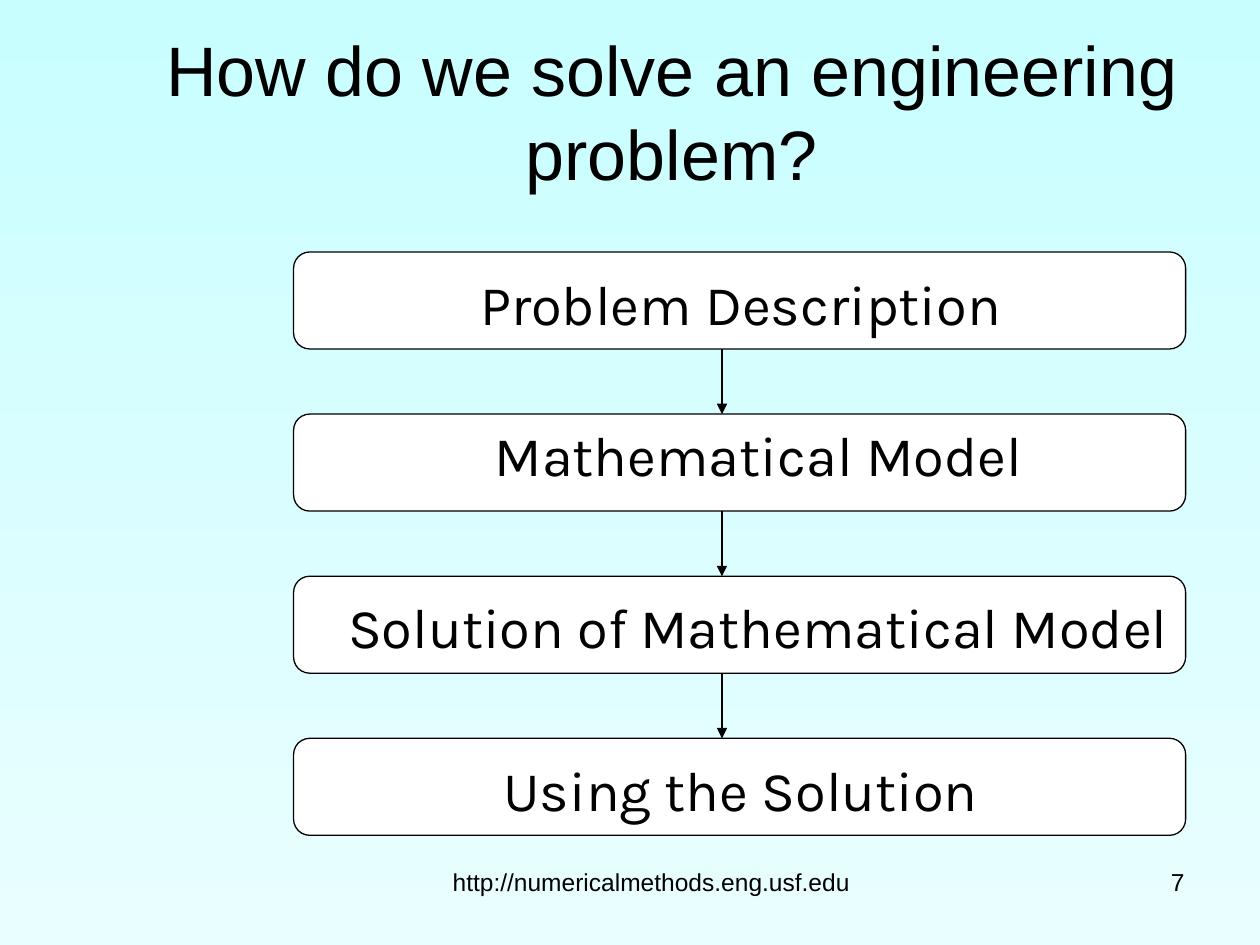
from lxml import etree
from pptx import Presentation
from pptx import util as u
from pptx.dml.color import RGBColor
from pptx.enum import shapes, text
from pptx.oxml import ns

COLORS = {"top": "C9FEFF", "bottom": "E9FEFF", "box": "FFFFFF", "ink": "000000"}
STEPS = [
    ("Problem Description", 0.09, 6.52, 0.64),
    ("Mathematical Model", 0, 6.8, 0.64),
    ("Solution of Mathematical Model", 0.08, 6.8, 1.17),
    ("Using the Solution", 0.09, 6.52, 0.64),
]


def color(name):
    """Return the named colour."""
    return RGBColor.from_string(COLORS[name])


def write(sp, content, size, font, align):
    """Put one formatted paragraph into a shape."""
    tf = sp.text_frame
    tf.word_wrap = True
    tf.auto_size = text.MSO_AUTO_SIZE.NONE
    tf.text = content
    p = tf.paragraphs[0]
    p.alignment = align
    r = p.runs[0]
    r.font.size = u.Pt(size)
    r.font.name = font
    r.font.color.rgb = color("ink")


def add_text(s, box, content, size, font, align=text.PP_ALIGN.CENTER):
    """Add a text box at left, top, width, height in inches."""
    write(s.shapes.add_textbox(*map(u.Inches, box)), content, size, font, align)


def add_background(s):
    """Fill the slide with a gradient from top to bottom."""
    fill = s.background.fill
    fill.gradient()
    fill.gradient_angle = 270
    for stop, name, position in zip(fill.gradient_stops, ("top", "bottom"), (0, 1)):
        stop.color.rgb = color(name)
        stop.position = position


def add_title(s, box, content):
    """Move and fill the title placeholder."""
    sp = s.shapes.title
    sp.left, sp.top, sp.width, sp.height = map(u.Inches, box)
    write(sp, content, 40, "Arial", text.PP_ALIGN.CENTER)
    sp.text_frame.vertical_anchor = text.MSO_ANCHOR.MIDDLE


def add_step(s, box, label, drop, label_width, label_height):
    """Add a rounded box with its label."""
    sp = s.shapes.add_shape(
        shapes.MSO_SHAPE.FLOWCHART_ALTERNATE_PROCESS, *map(u.Inches, box))
    sp.shadow.inherit = False
    sp.fill.solid()
    sp.fill.fore_color.rgb = color("box")
    sp.line.color.rgb = color("ink")
    sp.line.width = u.Pt(0.75)
    left, top = box[:2]
    add_text(s, (left + 0.29, top + drop, label_width, label_height),
             label, 32, "Karla")


def add_arrow(s, x, start, end):
    """Add a downward arrow."""
    c = s.shapes.add_connector(
        shapes.MSO_CONNECTOR.STRAIGHT, *map(u.Inches, (x, start, x, end)))
    c.line.color.rgb = color("ink")
    c.line.width = u.Pt(0.75)
    etree.SubElement(c.line._get_or_add_ln(), ns.qn("a:tailEnd"), type="triangle")
    etree.SubElement(c._element.spPr, ns.qn("a:effectLst"))


def add_flow(s, box, steps, height=0.77):
    """Spread the steps evenly down the box and join them with arrows."""
    left, top, width, total = box
    pitch = (total - height) / (len(steps) - 1)
    for i, step in enumerate(steps):
        y = top + i * pitch
        add_step(s, (left, y, width, height), *step)
        if i:
            add_arrow(s, left + 3.4, y - pitch + height, y)


def add_footer(s, box, address, number):
    """Add the address and, at the right, the slide number."""
    left, top, width, height = box
    add_text(s, (left, top, 3.5, height), address, 14, "Arial")
    add_text(s, (left + width - 2.33, top, 2.33, height), number, 14, "Arial",
             text.PP_ALIGN.RIGHT)


def main():
    """Build the slide and save it."""
    prs = Presentation()
    prs.slide_width, prs.slide_height = u.Inches(10), u.Inches(7.5)
    s = prs.slides.add_slide(prs.slide_layouts[5])
    add_background(s)
    add_title(s, (0.83, 0.25, 9, 1.25), "How do we solve an engineering problem?")
    add_flow(s, (2.33, 2, 7.08, 4.63), STEPS)
    add_footer(s, (3.42, 6.83, 6.08, 0.52), "http://numericalmethods.eng.usf.edu", "7")
    prs.save("out.pptx")


if __name__ == "__main__":
    main()
